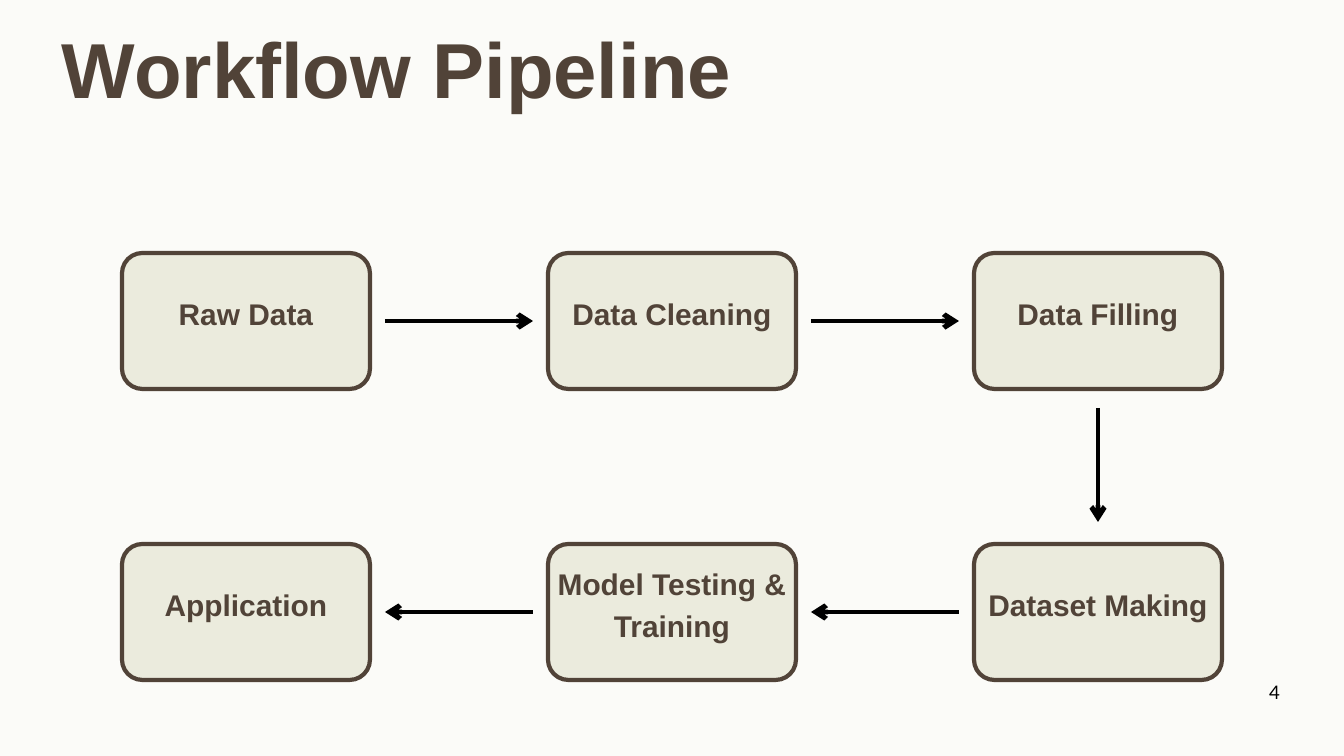
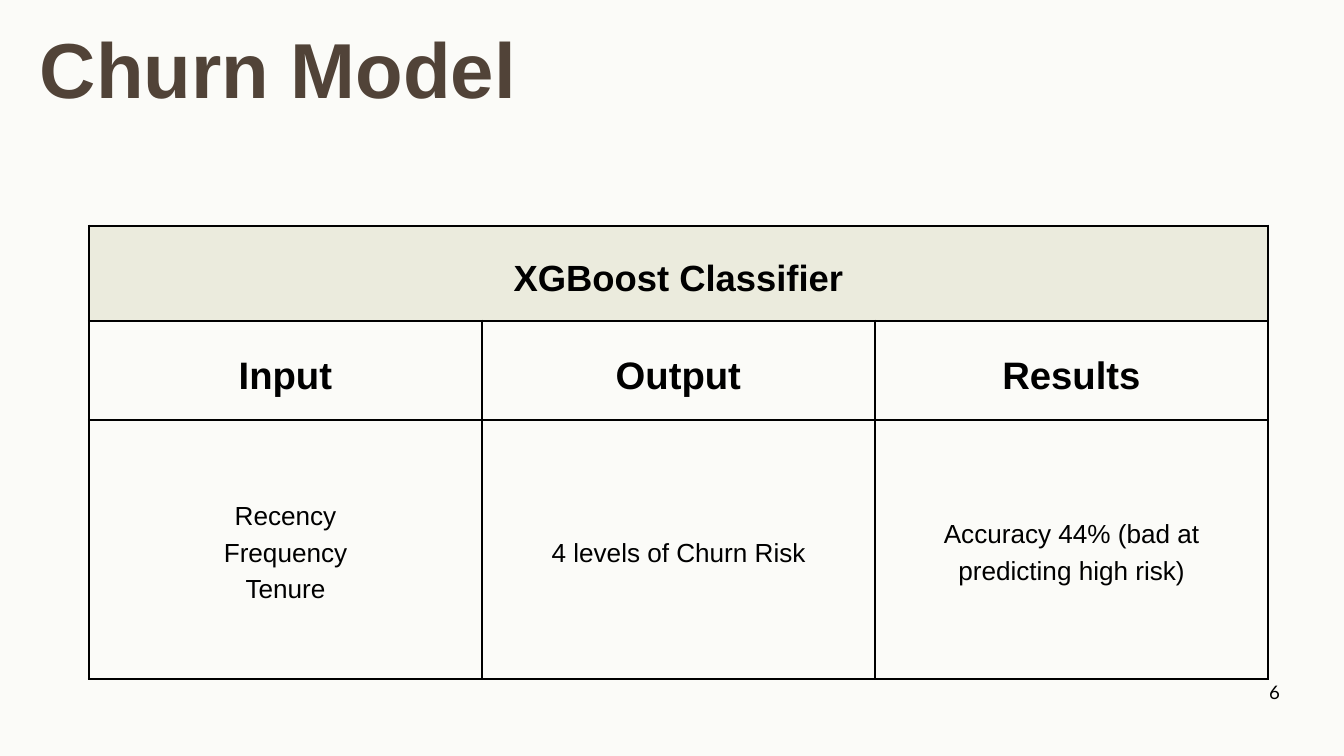
from itertools import pairwise

from lxml.etree import SubElement
from pptx import Presentation
from pptx.dml.color import RGBColor
from pptx.enum.shapes import MSO_CONNECTOR as Connector, MSO_SHAPE as Shape
from pptx.enum.text import MSO_ANCHOR as Anchor, PP_ALIGN as Align
from pptx.oxml import parse_xml
from pptx.oxml.ns import nsdecls, qn
from pptx.util import Emu, Pt

SLIDE_W, SLIDE_H = 1344, 756
PAPER, SAND, BROWN, BLACK = "FBFBF8", "EBEBDD", "514338", "000000"
HEAD_FONT, NUMBER_FONT = "Arial", "Lato"

STEPS = [
    ["Raw Data", "Data Cleaning", "Data Filling"],
    ["Application", "Model Testing & Training", "Dataset Making"],
]
MODEL_ROWS = [
    (95, 39, 54.6, True, ["XGBoost Classifier"]),
    (99, 41, 57.4, True, ["Input", "Output", "Results"]),
    (259, 28, 39.2, False, [
        "Recency\nFrequency\nTenure",
        "4 levels of Churn Risk",
        "Accuracy 44% (bad at predicting high risk)",
    ]),
]


def px(length):
    return Emu(round(length * 914400 / 67.2))


def color(value):
    return RGBColor.from_string(value)


def write(frame, text, size, spacing, tint, bold=False, font=HEAD_FONT, align=Align.CENTER):
    frame.text = text
    for para in frame.paragraphs:
        para.alignment = align
        para.line_spacing = Pt(spacing)
        para.font.name = font
        para.font.size = Pt(size)
        para.font.bold = bold
        para.font.color.rgb = color(tint)


def set_margins(holder, left, top, right, bottom):
    holder.margin_left, holder.margin_top = px(left), px(top)
    holder.margin_right, holder.margin_bottom = px(right), px(bottom)


def add_text(page, box, text, *style, wrap=True, **options):
    frame = page.shapes.add_textbox(*map(px, box)).text_frame
    set_margins(frame, 0, 0, 0, 0)
    frame.word_wrap = wrap
    write(frame, text, *style, **options)


def add_page(deck, title, title_left, number):
    page = deck.slides.add_slide(deck.slide_layouts[6])
    page.background.fill.solid()
    page.background.fill.fore_color.rgb = color(PAPER)
    add_text(page, (title_left, 5, SLIDE_W - title_left, 105), title,
             83.5, 116.8, BROWN, bold=True, align=Align.LEFT)
    add_text(page, (1269, 677, 11, 15), number, 20, 28, BLACK,
             font=NUMBER_FONT, wrap=False)
    return page


def add_step(page, box, text):
    step = page.shapes.add_shape(Shape.ROUNDED_RECTANGLE, *map(px, box))
    step.shadow.inherit = False
    step.adjustments[0] = 0.15
    step.fill.solid()
    step.fill.fore_color.rgb = color(SAND)
    step.line.color.rgb = color(BROWN)
    step.line.width = Pt(4.5)
    frame = step.text_frame
    set_margins(frame, 0, 0, 0, 20)
    frame.word_wrap = True
    frame.vertical_anchor = Anchor.MIDDLE
    write(frame, text, 32, 44.8, BROWN, bold=True)


def add_arrow(page, *ends):
    arrow = page.shapes.add_connector(Connector.STRAIGHT, *map(px, ends))
    arrow.line.color.rgb = color(BLACK)
    arrow.line.width = Pt(5.25)
    SubElement(arrow.line._get_or_add_ln(), qn("a:tailEnd"), type="arrow")
    SubElement(arrow._element.spPr, qn("a:effectLst"))


def link_steps(page, start, end):
    left, top, width, height = start
    across, down = end[0] - left, end[1] - top
    center, middle = left + width // 2, top + height // 2
    if down:
        add_arrow(page, center, top + height + 19, center, end[1] - 22)
    else:
        side = 1 if across > 0 else -1
        reach = side * (width // 2 + 15)
        add_arrow(page, center + reach, middle, center + across - reach, middle)


def add_workflow(page, box):
    left, top, width, height = box
    step_w, step_h = 248, 136
    pitch_x, pitch_y = (width - step_w) // 2, height - step_h
    grid = [
        [(left + col * pitch_x, top + row * pitch_y, step_w, step_h) for col in range(3)]
        for row in range(2)
    ]
    for names, places in zip(STEPS, grid):
        for name, place in zip(names, places):
            add_step(page, place, name)
    for start, end in pairwise(grid[0] + grid[1][::-1]):
        link_steps(page, start, end)


def add_borders(cell):
    props = cell._tc.get_or_add_tcPr()
    for index, side in enumerate(("lnL", "lnR", "lnT", "lnB")):
        props.insert(index, parse_xml(
            f'<a:{side} {nsdecls("a")} w="{Pt(3)}"><a:solidFill>'
            f'<a:srgbClr val="{BLACK}"/></a:solidFill></a:{side}>'))


def add_model_table(page, box):
    table = page.shapes.add_table(len(MODEL_ROWS), 3, *map(px, box)).table
    table.first_row = table.horz_banding = False
    for column in table.columns:
        column.width = px(box[2] // 3)
    for index, (height, size, spacing, bold, texts) in enumerate(MODEL_ROWS):
        table.rows[index].height = px(height)
        for cell, text in zip(table.rows[index].cells, texts):
            set_margins(cell, 14, 14, 14, 14)
            cell.vertical_anchor = Anchor.MIDDLE
            write(cell.text_frame, text, size, spacing, BLACK, bold=bold)
    for cell in table.iter_cells():
        cell.fill.background()
        add_borders(cell)
    banner = table.cell(0, 0)
    banner.merge(table.cell(0, 2))
    banner.fill.solid()
    banner.fill.fore_color.rgb = color(SAND)


def main():
    deck = Presentation()
    deck.slide_width, deck.slide_height = px(SLIDE_W), px(SLIDE_H)
    add_workflow(add_page(deck, "Workflow Pipeline", 62, "4"), (122, 253, 1100, 427))
    add_model_table(add_page(deck, "Churn Model", 40, "6"), (89, 226, 1179, 453))
    deck.save("out.pptx")


if __name__ == "__main__":
    main()
